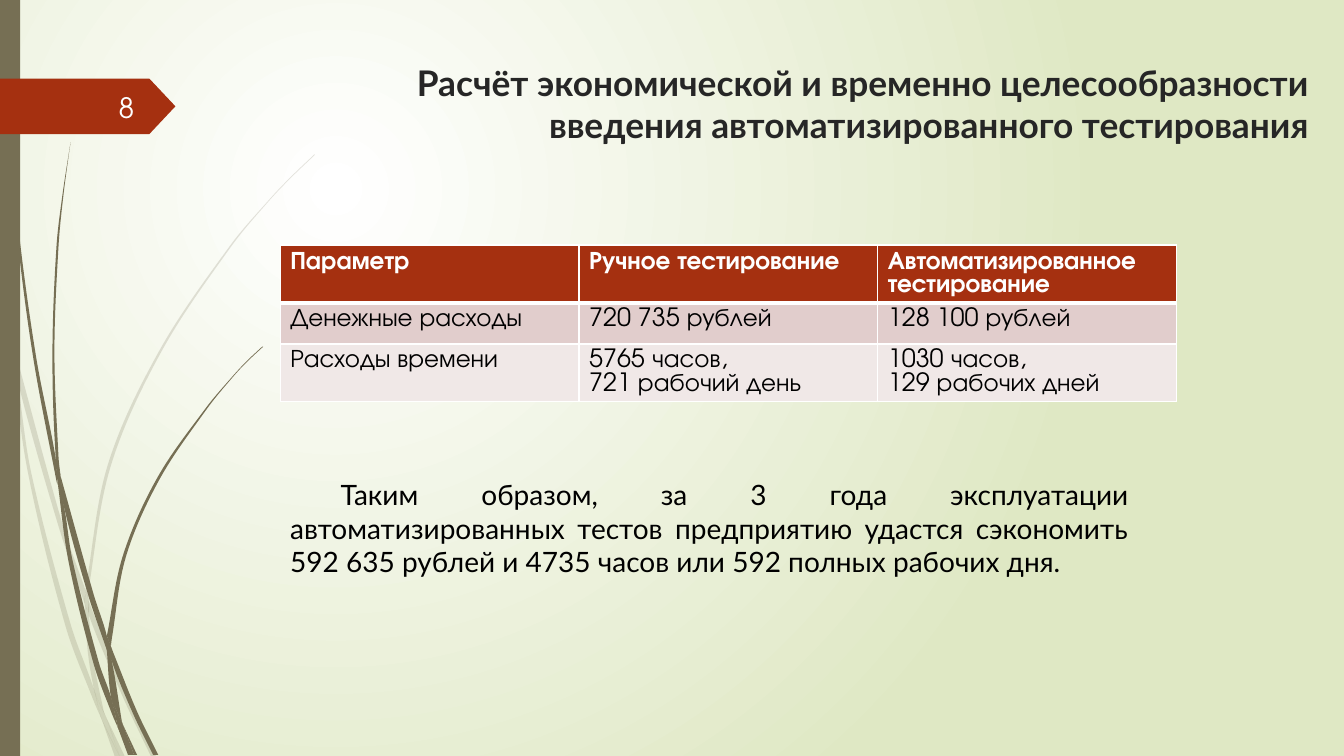
from math import dist
from lxml.etree import SubElement as Sub
from pptx import Presentation
from pptx.dml.color import RGBColor as Rgb
from pptx.enum.shapes import MSO_SHAPE as Kind
from pptx.enum.text import MSO_ANCHOR as Anchor, PP_ALIGN as Align
from pptx.oxml import parse_xml
from pptx.oxml.ns import nsdecls, qn
from pptx.util import Pt

PX = 9144  # 100 px to the inch
WIDE, HIGH = 1333, 750

HUES = {
    "white": "FFFFFF", "lime": "DFE8C4", "olive": "766F54", "rust": "A53010",
    "ink": "262626", "black": "000000", "pale": "FEFFFF",
    "rose": "E1CDCC", "blush": "F0E8E7",
}

# Font values for each kind of text
FONTS = {
    "title": {"name": "Lato", "size": Pt(25.2), "bold": True},
    "body": {"name": "Lato", "size": Pt(20), "bold": False},
    "page": {"name": "TeX Gyre Adventor", "size": Pt(20), "bold": False},
    "head": {"name": "TeX Gyre Adventor", "size": Pt(18), "bold": True},
    "cell": {"name": "TeX Gyre Adventor", "size": Pt(18), "bold": False},
}

TITLE = ("Расчёт экономической и временно целесообразности "
         "введения автоматизированного тестирования")
BODY = ("Таким образом, за 3 года эксплуатации автоматизированных тестов "
        "предприятию удастся сэкономить 592 635 рублей и 4735 часов "
        "или 592 полных рабочих дня.")
ROWS = [
    ["Параметр", "Ручное тестирование", "Автоматизированное тестирование"],
    ["Денежные расходы", "720 735 рублей", "128 100 рублей"],
    ["Расходы времени", "5765 часов,\n721 рабочий день",
     "1030 часов,\n129 рабочих дней"],
]

# Pieces of grass: left and right edge, each from the top down
FAINT = [
    ([(0, 299), (10, 344), (11, 350)], [(0, 282), (9, 322), (11, 350)]),
    ([(14, 345), (17, 376), (58, 522), (84, 599)],
     [(14, 345), (62, 520), (85, 586)]),
    ([(88, 596), (88, 610), (123, 694), (150, 751)],
     [(88, 596), (92, 607), (127, 692), (155, 751)]),
    ([(105, 711), (119, 751)], [(105, 711), (124, 751)]),
    ([(11, 350), (28, 470), (65, 621), (92, 693), (101, 714)],
     [(11, 350), (17, 376), (31, 469), (70, 619), (93, 683), (99, 707),
      (101, 714)]),
    ([(84, 599), (87, 646), (93, 683), (96, 692), (105, 711)],
     [(84, 599), (88, 610), (91, 646), (103, 706), (105, 711)]),
    ([(312, 153), (289, 175), (268, 197), (228, 244), (158, 348), (107, 461),
      (85, 584), (85, 586)],
     [(312, 154), (290, 175), (268, 198), (229, 245), (160, 349), (110, 462),
      (88, 584), (88, 596)]),
    ([(101, 714), (114, 751)], [(101, 714), (119, 751)]),
    ([(85, 586), (84, 599), (88, 608)], [(85, 586), (88, 596), (88, 610)]),
    ([(93, 683), (99, 707), (101, 714), (119, 751)],
     [(93, 683), (96, 692), (105, 711), (119, 751)]),
]
SOLID = [
    ([(3, 0), (4, 48), (7, 110), (17, 233), (33, 355), (56, 477), (57, 481)],
     [(4, 0), (5, 48), (8, 109), (19, 232), (36, 355), (55, 453), (57, 481)]),
    ([(60, 472), (64, 505), (88, 592), (106, 645)],
     [(60, 472), (93, 590), (106, 631), (106, 645)]),
    ([(110, 641), (111, 656), (132, 708), (152, 749)],
     [(110, 641), (113, 649), (136, 706), (157, 749)]),
    ([(57, 477), (68, 557), (93, 659), (111, 708), (117, 722)],
     [(57, 477), (64, 505), (72, 556), (98, 657), (110, 691), (116, 717),
      (117, 722)]),
    ([(70, 141), (62, 193), (56, 245), (52, 349), (55, 449), (60, 472)],
     [(70, 141), (63, 193), (58, 245), (54, 349), (58, 453), (60, 472)]),
    ([(122, 719), (133, 749)], [(122, 719), (136, 749)]),
    ([(55, 449), (57, 477), (64, 505)], [(55, 449), (60, 472), (64, 505)]),
    ([(260, 344), (245, 358), (231, 373), (204, 405), (156, 474), (122, 551),
      (106, 631)],
     [(261, 344), (245, 359), (231, 374), (205, 406), (158, 476), (125, 552),
      (111, 633), (110, 641)]),
    ([(117, 722), (127, 749)], [(117, 722), (131, 749)]),
    ([(106, 645), (110, 691), (116, 706), (122, 719)],
     [(106, 645), (111, 656), (121, 716), (122, 719)]),
    ([(106, 631), (106, 645), (111, 656)], [(106, 631), (110, 641), (111, 656)]),
    ([(110, 691), (116, 717), (117, 722), (130, 749)],
     [(110, 691), (116, 706), (122, 719), (133, 749)]),
]


def emu(*nums):
    return [round(n * PX) for n in nums]


def rgb(hue):
    return Rgb.from_string(HUES[hue])


def style(item, vals):
    for key, val in vals.items():
        setattr(item, key, val)


def paint(shape, hue):
    shape.shadow.inherit = False
    shape.fill.solid()
    shape.fill.fore_color.rgb = rgb(hue)
    shape.line.fill.background()


def lean(prev, dot, nxt):
    """Control point after dot, on the way to nxt."""
    part = dist(dot, nxt) / (dist(prev, dot) + dist(dot, nxt)) / 3
    return tuple(q + (r - p) * part for p, q, r in zip(prev, dot, nxt))


def curve(dots):
    """Smooth line through the dots: two control points and an end each."""
    ends = [dots[0], *dots, dots[-1]]
    out = []
    for a, b, c, d in zip(ends, ends[1:], ends[2:], ends[3:]):
        out += [lean(a, b, c), lean(d, c, b), c]
    return out


def blade(slide, left, right, alpha=None):
    dots = curve(left)
    if left[-1] != right[-1]:
        dots += curve([left[-1], right[-1]])
    dots += curve(right[::-1])
    pen = slide.shapes.build_freeform(*emu(*left[0]))
    pen.add_line_segments([emu(*dot) for dot in dots], close=True)
    shape = pen.convert_to_shape()
    paint(shape, "olive")
    # Join each three points into one curve
    lines = list(shape._element.iter(qn("a:lnTo")))
    for first, *rest in zip(lines[::3], lines[1::3], lines[2::3]):
        first.tag = qn("a:cubicBezTo")
        for line in rest:
            first.append(line[0])
            line.getparent().remove(line)
    if alpha:
        tint = shape.fill._xPr.find(".//" + qn("a:srgbClr"))
        Sub(tint, qn("a:alpha"), val=str(alpha * 1000))


def block(slide, kind, box, hue):
    shape = slide.shapes.add_shape(kind, *emu(*box))
    paint(shape, hue)
    return shape


def fill_text(frame, text, font, hue, **form):
    frame.text = text
    for para in frame.paragraphs:
        style(para, form)
        for run in para.runs:
            style(run.font, FONTS[font])
            run.font.color.rgb = rgb(hue)


def label(slide, box, text, font, hue, align, anchor=Anchor.TOP):
    frame = slide.shapes.add_textbox(*emu(*box)).text_frame
    style(frame, {"word_wrap": True, "vertical_anchor": anchor})
    fill_text(frame, text, font, hue, alignment=align)
    return frame


def border(cell, sides):
    props = cell._tc.get_or_add_tcPr()
    for side, width in sides.items():
        line = Sub(props, qn("a:ln" + side), w=str(Pt(width)))
        Sub(Sub(line, qn("a:solidFill")), qn("a:srgbClr"), val=HUES["white"])


def grid(slide, box, highs):
    table = slide.shapes.add_table(len(ROWS), len(ROWS[0]), *emu(*box)).table
    looks = [("head", "white", "rust"), ("cell", "black", "rose"),
             ("cell", "black", "blush")]
    for r, (texts, high, look) in enumerate(zip(ROWS, highs, looks)):
        font, hue, back = look
        table.rows[r].height = high * PX
        for c, text in enumerate(texts):
            cell = table.cell(r, c)
            border(cell, {"L": 1, "R": 1, "T": 3 if r == 1 else 1,
                          "B": 3 if r == 0 else 1})
            cell.fill.solid()
            cell.fill.fore_color.rgb = rgb(back)
            fill_text(cell.text_frame, text, font, hue, line_spacing=Pt(17))


def backdrop(slide):
    stops = "".join(
        f'<a:gs pos="{pos}"><a:srgbClr val="{HUES[hue]}"/></a:gs>'
        for pos, hue in ((0, "white"), (100000, "lime")))
    slide._element.cSld.insert(0, parse_xml(
        f'<p:bg {nsdecls("p", "a")}><p:bgPr><a:gradFill rotWithShape="1">'
        f'<a:gsLst>{stops}</a:gsLst><a:path path="circle">'
        '<a:fillToRect l="50000" t="50000" r="100000" b="100000"/></a:path>'
        '</a:gradFill><a:effectLst/></p:bgPr></p:bg>'))


def main():
    deck = Presentation()
    deck.slide_width, deck.slide_height = emu(WIDE, HIGH)
    slide = deck.slides.add_slide(deck.slide_layouts[6])

    # Backdrop and grass
    backdrop(slide)
    for edges in FAINT:
        blade(slide, *edges, alpha=20)
    for edges in SOLID:
        blade(slide, *edges)

    # Side bar and page tag
    block(slide, Kind.RECTANGLE, (0, 0, 20, HIGH), "olive")
    tag = block(slide, Kind.PENTAGON, (0, 78, 174, 55), "rust")
    tag.adjustments[0] = 0.47
    label(slide, (58, 86, 85, 40), "8", "page", "pale",
          Align.RIGHT, Anchor.MIDDLE)

    # Title, table and summary
    label(slide, (334, 56, 974, 140), TITLE, "title", "ink", Align.RIGHT)
    grid(slide, (278, 243, 889, 132), (50, 41, 41))
    body = label(slide, (278, 469, 851, 111), BODY, "body", "black",
                 Align.JUSTIFY)
    body.paragraphs[0]._p.get_or_add_pPr().set("indent", str(50 * PX))

    deck.save("out.pptx")


if __name__ == "__main__":
    main()
